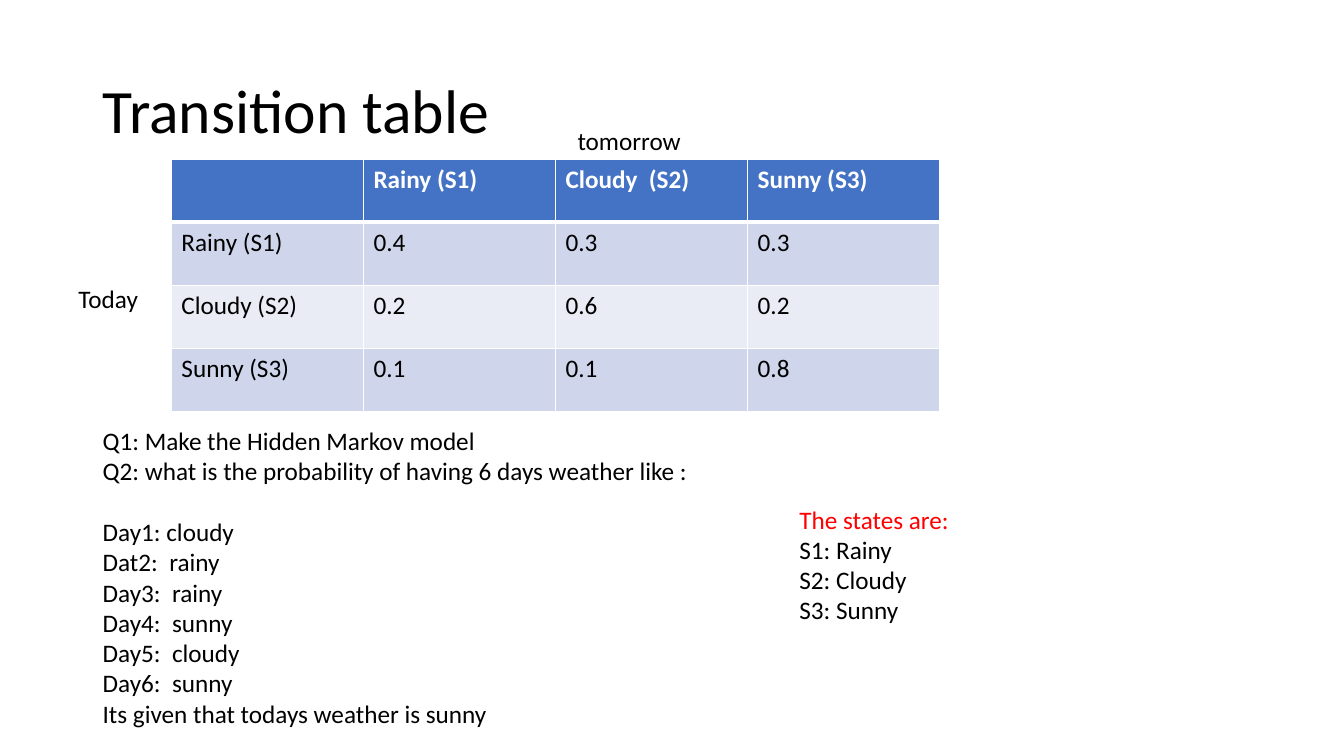
from lxml.etree import SubElement
from pptx import Presentation
from pptx.dml.color import RGBColor
from pptx.enum.text import MSO_ANCHOR, MSO_AUTO_SIZE, PP_ALIGN
from pptx.oxml.ns import qn
from pptx.util import Inches, Pt

FONT = "Calibri"
BLACK, WHITE, RED = "000000", "FFFFFF", "FF0000"
HEADER, BAND_DARK, BAND_LIGHT = "4472C4", "CFD5EA", "E9EBF5"

TRANSITIONS = [
    ["", "Rainy (S1)", "Cloudy  (S2)", "Sunny (S3)"],
    ["Rainy (S1)", "0.4", "0.3", "0.3"],
    ["Cloudy (S2)", "0.2", "0.6", "0.2"],
    ["Sunny (S3)", "0.1", "0.1", "0.8"],
]
QUESTIONS = [
    "Q1: Make the Hidden Markov model",
    "Q2: what is the probability of having 6 days weather like :",
]
DAYS = [
    "Day1: cloudy",
    "Dat2:  rainy",
    "Day3:  rainy",
    "Day4:  sunny",
    "Day5:  cloudy",
    "Day6:  sunny",
    "Its given that todays weather is sunny",
]
STATES = ["The states are:", "S1: Rainy", "S2: Cloudy", "S3: Sunny"]


def rgb(value):
    return RGBColor.from_string(value)


def style(paragraph, size=18, color=BLACK, bold=False):
    paragraph.font.name = FONT
    paragraph.font.size = Pt(size)
    paragraph.font.bold = bold
    paragraph.font.color.rgb = rgb(color)


def place(shape, left, top, width, height):
    shape.left, shape.top = Inches(left), Inches(top)
    shape.width, shape.height = Inches(width), Inches(height)


def add_title(slide, text):
    title = slide.shapes.title
    place(title, 0.92, 0.4, 11.5, 1.45)
    frame = title.text_frame
    frame.text = text
    frame.vertical_anchor = MSO_ANCHOR.MIDDLE
    heading = frame.paragraphs[0]
    heading.alignment = PP_ALIGN.LEFT
    heading.line_spacing = 0.9
    style(heading, 44)


def add_lines(slide, lines, left, top, width, height):
    box = slide.shapes.add_textbox(
        Inches(left), Inches(top), Inches(width), Inches(height))
    frame = box.text_frame
    frame.word_wrap = True
    frame.auto_size = MSO_AUTO_SIZE.SHAPE_TO_FIT_TEXT
    frame.text = "\n".join(lines)
    for paragraph in frame.paragraphs:
        style(paragraph)
    return frame.paragraphs


def set_borders(cell, bottom):
    properties = cell._tc.get_or_add_tcPr()
    for side, width in (("L", 1), ("R", 1), ("T", 1), ("B", bottom)):
        line = SubElement(properties, qn(f"a:ln{side}"), w=str(Pt(width)))
        fill = SubElement(line, qn("a:solidFill"))
        SubElement(fill, qn("a:srgbClr"), val=WHITE)


def add_transition_table(slide):
    table = slide.shapes.add_table(
        len(TRANSITIONS), len(TRANSITIONS[0]),
        Inches(1.7), Inches(1.58), Inches(7.62), Inches(2.5)).table
    for r, values in enumerate(TRANSITIONS):
        is_header = r == 0
        band = HEADER if is_header else BAND_DARK if r % 2 else BAND_LIGHT
        for c, value in enumerate(values):
            cell = table.cell(r, c)
            cell.text = value
            style(cell.text_frame.paragraphs[0],
                  color=WHITE if is_header else BLACK, bold=is_header)
            set_borders(cell, 3 if is_header else 1)
            cell.fill.solid()
            cell.fill.fore_color.rgb = rgb(band)


def main():
    deck = Presentation()
    deck.slide_width, deck.slide_height = Inches(13.33), Inches(7.5)
    slide = deck.slides.add_slide(deck.slide_layouts[5])

    add_title(slide, "Transition table")
    add_transition_table(slide)
    exercise = add_lines(slide, QUESTIONS + DAYS, 0.92, 4.17, 8.85, 3.13)
    exercise[len(QUESTIONS)].space_before = Pt(22)
    states = add_lines(slide, STATES, 7.83, 4.95, 2.62, 1.31)
    style(states[0], color=RED)
    add_lines(slide, ["tomorrow"], 5.63, 1.19, 2.03, 0.4)
    add_lines(slide, ["Today"], 0.68, 2.76, 2.03, 0.4)

    deck.save("out.pptx")


if __name__ == "__main__":
    main()
